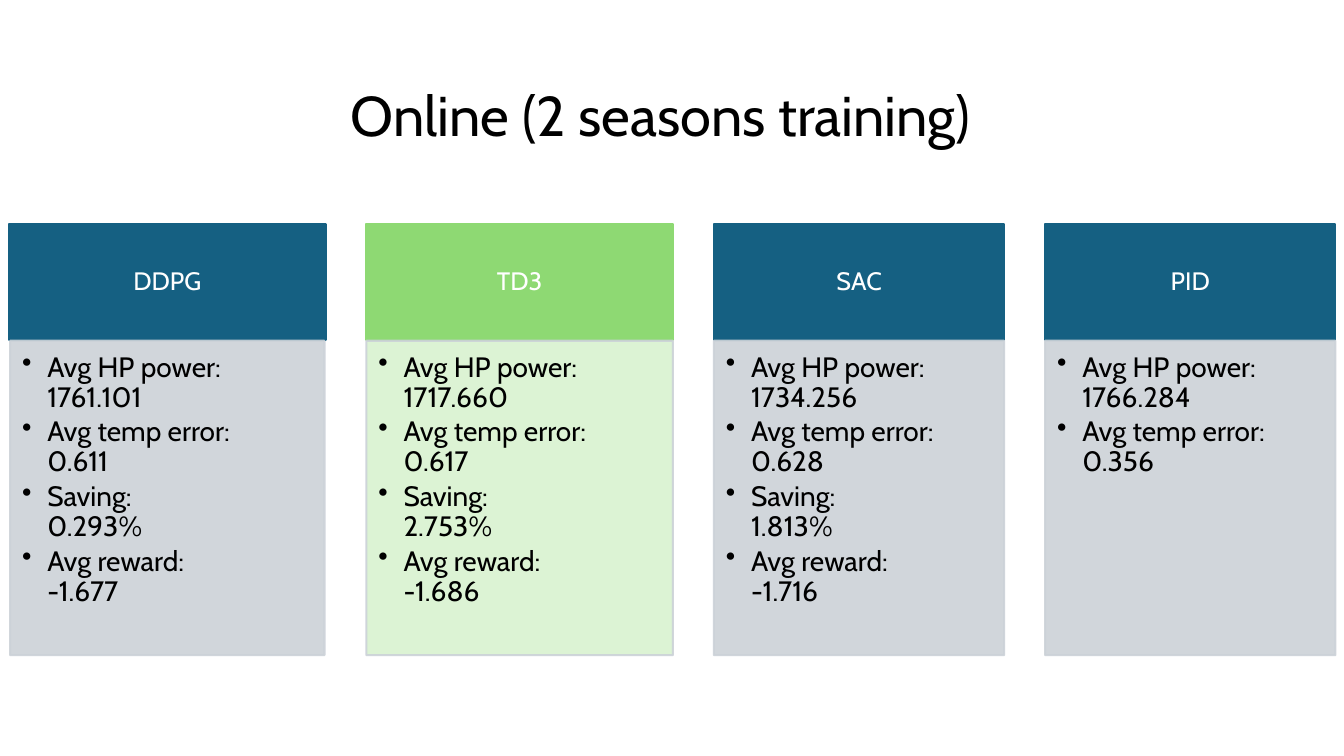
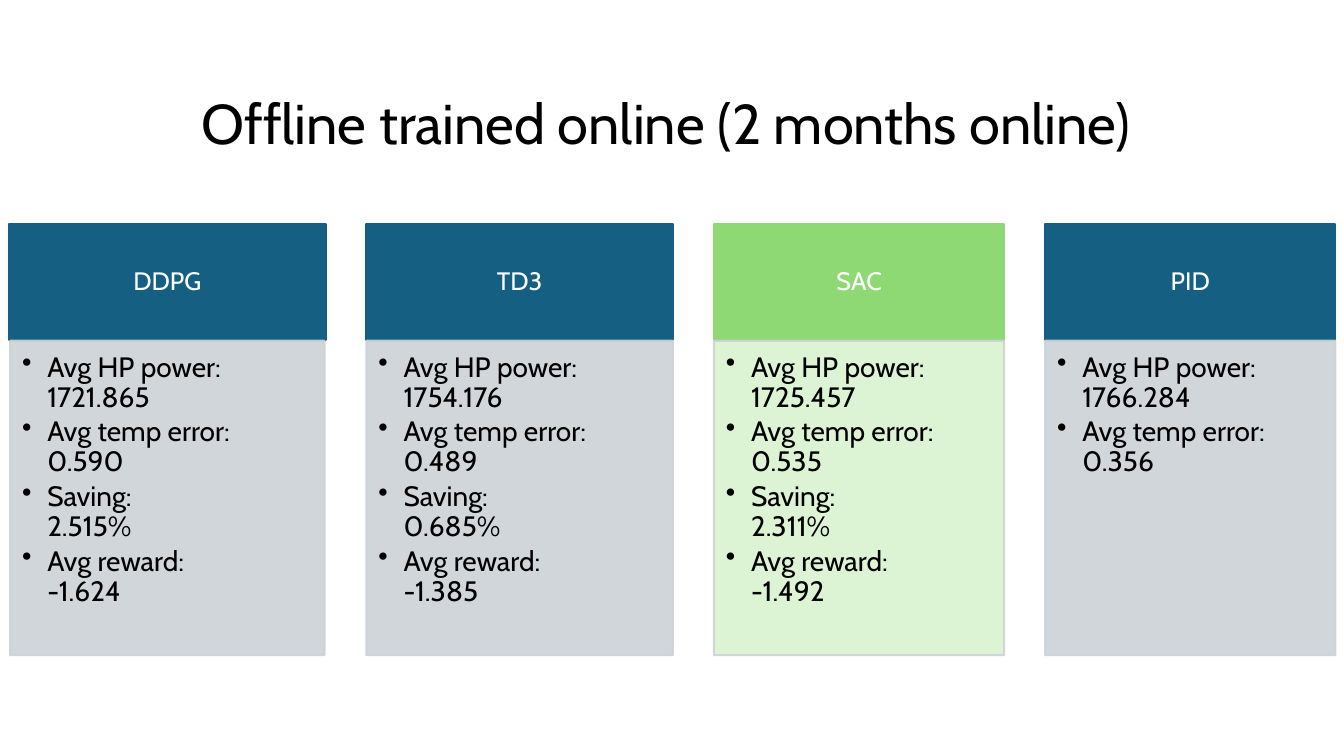
from pptx import Presentation
from pptx.dml.color import RGBColor
from pptx.enum.shapes import MSO_SHAPE
from pptx.enum.text import MSO_ANCHOR, MSO_AUTO_SIZE, PP_ALIGN
from pptx.oxml.ns import qn
from pptx.oxml.xmlchemy import OxmlElement
from pptx.util import Pt

BLUE = RGBColor(0x15, 0x60, 0x82)
GREEN = RGBColor(0x8E, 0xD9, 0x73)
GREY = RGBColor(0xCC, 0xD2, 0xD8)
PALE_GREEN = RGBColor(0xD9, 0xF2, 0xD0)
BLACK = RGBColor(0, 0, 0)
WHITE = RGBColor(0xFF, 0xFF, 0xFF)
FONT = "Cabin"

FIRST_LEFT, GAP = 6.5, 29.2
HEADER_TOP, HEADER_HEIGHT = 160, 83
BODY_TOP, BODY_HEIGHT = 243.4, 224.6

METRICS = ["Avg HP power:", "Avg temp error:", "Saving:", "Avg reward:"]
COLUMNS = [("DDPG", 226, 0.7), ("TD3", 219, 0), ("SAC", 207.4, 0), ("PID", 207.4, 0)]
PID_VALUES = ["1766.284", "0.356"]

SLIDES = [
    ("Online (2 seasons training)", (243.4, 54, 473), "TD3", [
        ["1761.101", "0.611", "0.293%", "-1.677"],
        ["1717.660", "0.617", "2.753%", "-1.686"],
        ["1734.256", "0.628", "1.813%", "-1.716"],
        PID_VALUES,
    ]),
    ("Offline trained online (2 months online)", (136.8, 59.8, 686), "SAC", [
        ["1721.865", "0.590", "2.515%", "-1.624"],
        ["1754.176", "0.489", "0.685%", "-1.385"],
        ["1725.457", "0.535", "2.311%", "-1.492"],
        PID_VALUES,
    ]),
]


def add_box(slide, bounds, fill, line, margins, anchor):
    shape = slide.shapes.add_shape(MSO_SHAPE.RECTANGLE, *map(Pt, bounds))
    shape.shadow.inherit = False
    shape.fill.solid()
    shape.fill.fore_color.rgb = fill
    shape.line.color.rgb = line
    shape.line.width = Pt(1.5)
    frame = shape.text_frame
    frame.word_wrap = True
    frame.vertical_anchor = anchor
    frame.margin_left, frame.margin_top, frame.margin_right, frame.margin_bottom = map(Pt, margins)
    return shape


def add_run(paragraph, text, size, color):
    run = paragraph.add_run()
    run.text = text
    run.font.name = FONT
    run.font.size = Pt(size)
    run.font.color.rgb = color


presentation = Presentation()
presentation.slide_width = Pt(960)
presentation.slide_height = Pt(540)

for heading, (title_left, title_top, title_width), best, results in SLIDES:
    slide = presentation.slides.add_slide(presentation.slide_layouts[5])
    title = slide.shapes.title
    title.left, title.top = Pt(title_left), Pt(title_top)
    title.width, title.height = Pt(title_width), Pt(55.7)
    title.text_frame.auto_size = MSO_AUTO_SIZE.SHAPE_TO_FIT_TEXT
    title.text_frame.vertical_anchor = MSO_ANCHOR.TOP
    paragraph = title.text_frame.paragraphs[0]
    paragraph.alignment = PP_ALIGN.LEFT
    add_run(paragraph, heading, 40, BLACK)

    left = FIRST_LEFT
    for (name, width, inset), values in zip(COLUMNS, results):
        header_color, body_color = (GREEN, PALE_GREEN) if name == best else (BLUE, GREY)

        header = add_box(slide, (left, HEADER_TOP, width, HEADER_HEIGHT),
                         header_color, header_color, (10, 6, 10, 6), MSO_ANCHOR.MIDDLE)
        paragraph = header.text_frame.paragraphs[0]
        paragraph.alignment = PP_ALIGN.CENTER
        paragraph.line_spacing = 0.9
        add_run(paragraph, name, 18, WHITE)

        body = add_box(slide, (left + inset, BODY_TOP, width - 2 * inset, BODY_HEIGHT),
                       body_color, GREY, (8.6, 8.6, 11.4, 12.2), MSO_ANCHOR.TOP)
        for color in body.element.spPr.iter(qn("a:srgbClr")):
            alpha = OxmlElement("a:alpha")
            alpha.set("val", "90000")
            color.append(alpha)

        for index, (metric, value) in enumerate(zip(METRICS, values)):
            frame = body.text_frame
            paragraph = frame.add_paragraph() if index else frame.paragraphs[0]
            paragraph.alignment = PP_ALIGN.LEFT
            paragraph.level = 1
            paragraph.line_spacing = 0.9
            paragraph.space_after = Pt(3)
            properties = paragraph._p.get_or_add_pPr()
            properties.set("marL", str(Pt(18)))
            properties.set("indent", str(-Pt(18)))
            bullet = OxmlElement("a:buChar")
            bullet.set("char", "•")
            properties.append(bullet)
            add_run(paragraph, metric, 20, BLACK)
            paragraph.add_line_break()
            add_run(paragraph, value, 20, BLACK)

        left += width + GAP

presentation.save("out.pptx")
